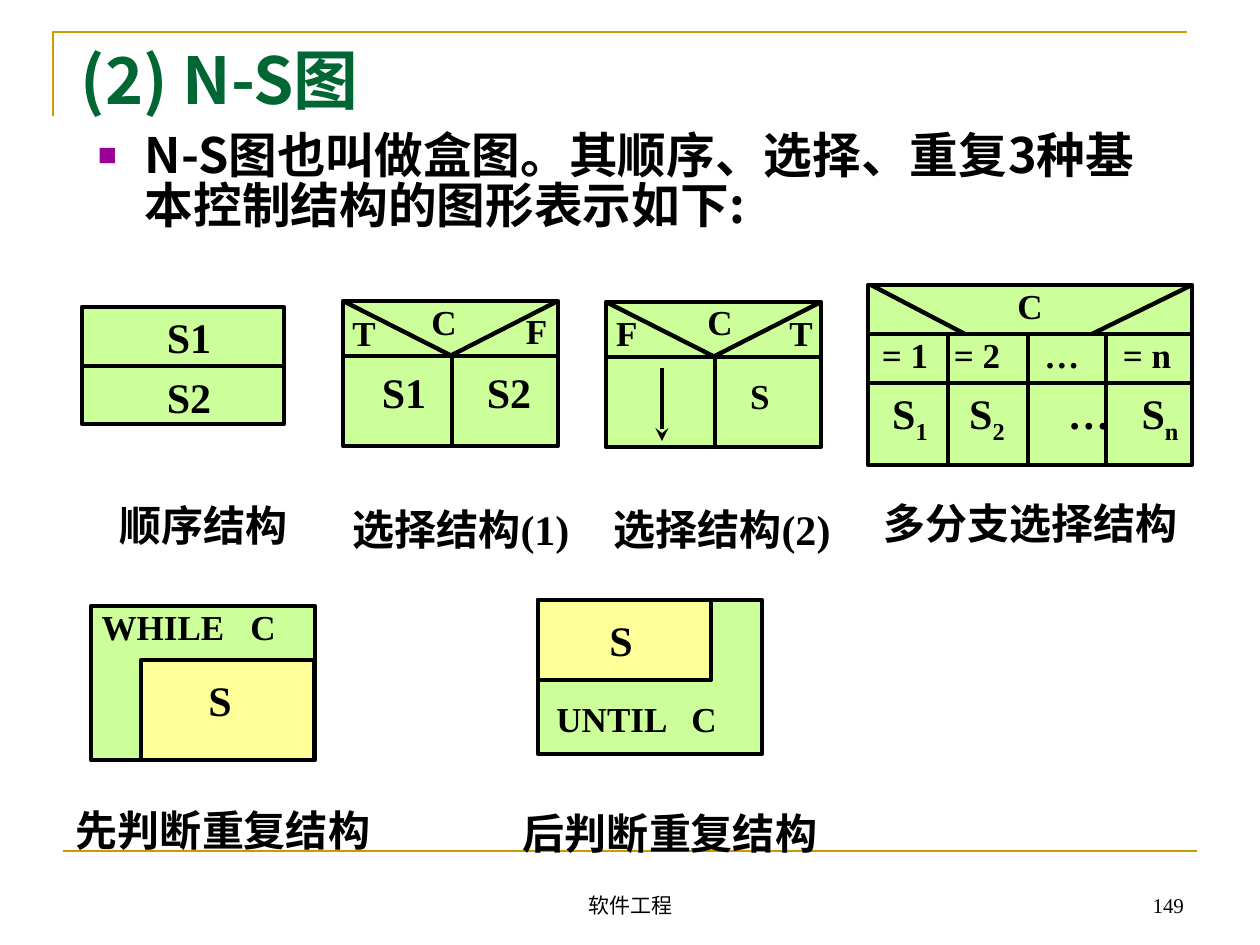
"""Builds the slide on N-S box diagrams and their basic control structures."""
from lxml.etree import SubElement
from pptx import Presentation
from pptx.dml.color import RGBColor
from pptx.enum.shapes import MSO_CONNECTOR, MSO_SHAPE
from pptx.enum.text import MSO_ANCHOR, PP_ALIGN
from pptx.oxml.ns import qn
from pptx.util import Pt

SCALE = 914400 / 126
SANS, SERIF = "Noto Sans CJK SC", "Times New Roman"
HUES = {"gold": "CC9900", "title": "006633", "bullet": "990099",
        "ink": "000000", "green": "CCFF99", "yellow": "FFFF99"}


def px(*nums):
    return [round(num * SCALE) for num in nums]


def hue(name):
    return RGBColor.from_string(HUES[name])


def style(run, size, face=SERIF, color="ink", bold=True):
    font = run.font
    font.size, font.name, font.bold = Pt(size), face, bold
    font.color.rgb = hue(color)
    SubElement(run._r.get_or_add_rPr(), qn("a:ea"), typeface=SANS)


def text(slide, words, box, size, face=SERIF, color="ink", bold=True, wrap=True,
         align=PP_ALIGN.LEFT, anchor=MSO_ANCHOR.TOP, inset=(13, 6)):
    frame = slide.shapes.add_textbox(*px(*box)).text_frame
    frame.word_wrap, frame.vertical_anchor = wrap, anchor
    frame.margin_left = frame.margin_right = px(inset[0])[0]
    frame.margin_top = frame.margin_bottom = px(inset[1])[0]
    frame.text = words
    for para in frame.paragraphs:
        para.alignment = align
        for run in para.runs:
            style(run, size, face, color, bold)
    return frame


def label(slide, words, x, y, w, size=20, h=None, sub=""):
    box = (x, y, w, h or (60 if size == 24 else 53))
    frame = text(slide, words, box, size, wrap=False, align=PP_ALIGN.CENTER, inset=(10, 5))
    for para in frame.paragraphs[1:]:
        para.space_before = Pt(6)
    if sub:
        run = frame.paragraphs[0].add_run()
        run.text = sub
        style(run, size)
        run._r.get_or_add_rPr().set("baseline", "-25000")


def rect(slide, x, y, w, h, fill="green"):
    shape = slide.shapes.add_shape(MSO_SHAPE.RECTANGLE, *px(x, y, w, h))
    shape.shadow.inherit = False
    shape.fill.solid()
    shape.fill.fore_color.rgb = hue(fill)
    shape.line.color.rgb = hue("ink")
    shape.line.width = Pt(2.5)


def line(slide, x1, y1, x2, y2, color="ink", width=2.5, arrow=False):
    link = slide.shapes.add_connector(MSO_CONNECTOR.STRAIGHT, *px(x1, y1, x2, y2))
    link.line.color.rgb = hue(color)
    link.line.width = Pt(width)
    if arrow:
        SubElement(link.line._get_or_add_ln(), qn("a:tailEnd"), type="stealth")
    SubElement(link._element.spPr, qn("a:effectLst"))


def corner(slide):
    pen = slide.shapes.build_freeform(53, 116, SCALE)
    pen.add_line_segments([(53, 32), (1187, 32)], close=False)
    shape = pen.convert_to_shape()
    shape.shadow.inherit = False
    shape.fill.background()
    shape.line.color.rgb = hue("gold")
    shape.line.width = Pt(1.5)


def body(slide):
    words = "N-S图也叫做盒图。其顺序、选择、重复3种基本控制结构的图形表示如下:"
    frame = text(slide, words, (72, 123, 1085, 121), 27.8, SANS, anchor=MSO_ANCHOR.MIDDLE)
    para = frame.paragraphs[0]
    para.line_spacing = 0.85
    props = para._p.get_or_add_pPr()
    margin, hang = px(60, -47)
    props.set("marL", str(margin))
    props.set("indent", str(hang))
    SubElement(SubElement(props, qn("a:buClr")), qn("a:srgbClr"), val=HUES["bullet"])
    SubElement(props, qn("a:buSzPct"), val="65000")
    SubElement(props, qn("a:buFont"), typeface=SERIF)
    SubElement(props, qn("a:buChar"), char="■")


def order(slide):
    rect(slide, 82, 307, 202, 117)
    line(slide, 82, 366, 282, 366)
    label(slide, "S1\nS2", 156, 306, 66, 24, h=122)


def choice(slide, x, y):
    rect(slide, x, y, 215, 145)
    line(slide, x, y + 55, x + 216, y + 55)
    line(slide, x + 109, y + 55, x + 109, y + 147)
    line(slide, x + 215, y, x + 107, y + 55)
    line(slide, x, y, x + 107, y + 54)


def first(slide):
    choice(slide, 343, 301)
    for words, x, y, w in (("C", 421, 296, 46), ("T", 334, 307, 60), ("F", 515, 305, 43)):
        label(slide, words, x, y, w)
    label(slide, "S1", 371, 362, 66, 24)
    label(slide, "S2", 476, 362, 66, 24)


def second(slide):
    choice(slide, 606, 302)
    for words, x, y, w in (("C", 697, 296, 46), ("F", 601, 306, 52),
                           ("T", 779, 306, 44), ("S", 740, 370, 40)):
        label(slide, words, x, y, w)
    line(slide, 662, 368, 662, 441, arrow=True)


def multi(slide):
    rect(slide, 868, 285, 324, 180)
    for y in (334, 383):
        line(slide, 868, y, 1192, y)
    line(slide, 1192, 285, 1092, 334)
    line(slide, 871, 285, 965, 334)
    for x in (948, 1028, 1106):
        line(slide, x, 335, x, 465)
    label(slide, "C", 1007, 280, 46)
    for words, mid in (("= 1", 905), ("= 2", 977), ("…", 1062), ("= n", 1147)):
        label(slide, words, mid - 40, 329, 80)
    for words, sub, mid in (("S", "1", 910), ("S", "2", 987), ("…", "", 1089), ("S", "n", 1160)):
        label(slide, words, mid - 35, 383, 70, 24, sub=sub)


def loops(slide):
    rect(slide, 91, 606, 224, 154)
    label(slide, "WHILE", 83, 601, 160)
    label(slide, "C", 240, 601, 46)
    rect(slide, 141, 660, 173, 100, "yellow")
    label(slide, "S", 198, 670, 44, 24)
    rect(slide, 538, 600, 224, 154)
    label(slide, "UNTIL", 537, 693, 150)
    label(slide, "C", 681, 693, 46)
    rect(slide, 538, 600, 173, 80, "yellow")
    label(slide, "S", 599, 610, 44, 24)


def main():
    deck = Presentation()
    deck.slide_width, deck.slide_height = px(1260, 945)
    slide = deck.slides.add_slide(deck.slide_layouts[6])
    corner(slide)
    line(slide, 63, 851, 1197, 851, "gold", 1.5)
    text(slide, "(2) N-S图", (68, 35, 1071, 87), 37, SANS, "title", anchor=MSO_ANCHOR.MIDDLE)
    body(slide)
    for draw in (order, first, second, loops, multi):
        draw(slide)
    for words, x, y, w in (("顺序结构", 109, 495, 189), ("选择结构(1)", 337, 499, 248),
                           ("选择结构(2)", 598, 499, 248), ("多分支选择结构", 873, 493, 315),
                           ("先判断重复结构", 57, 800, 332), ("后判断重复结构", 485, 803, 370)):
        label(slide, words, x, y, w, 24)
    for words, x, w, align in (("软件工程", 431, 399, PP_ALIGN.CENTER),
                               ("149", 903, 294, PP_ALIGN.RIGHT)):
        text(slide, words, (x, 861, w, 63), 12, bold=False, align=align, anchor=MSO_ANCHOR.BOTTOM)
    deck.save("out.pptx")


if __name__ == "__main__":
    main()
